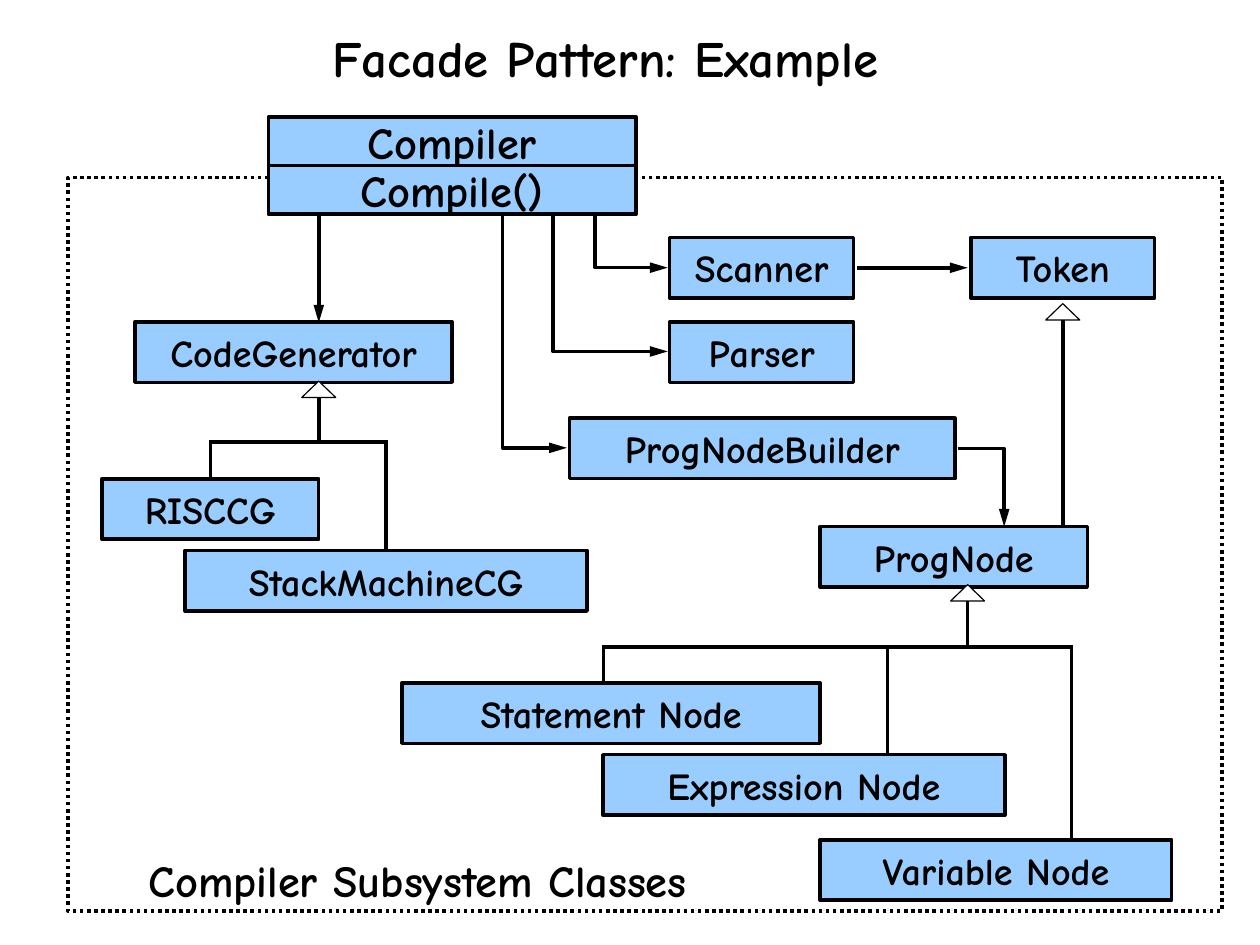
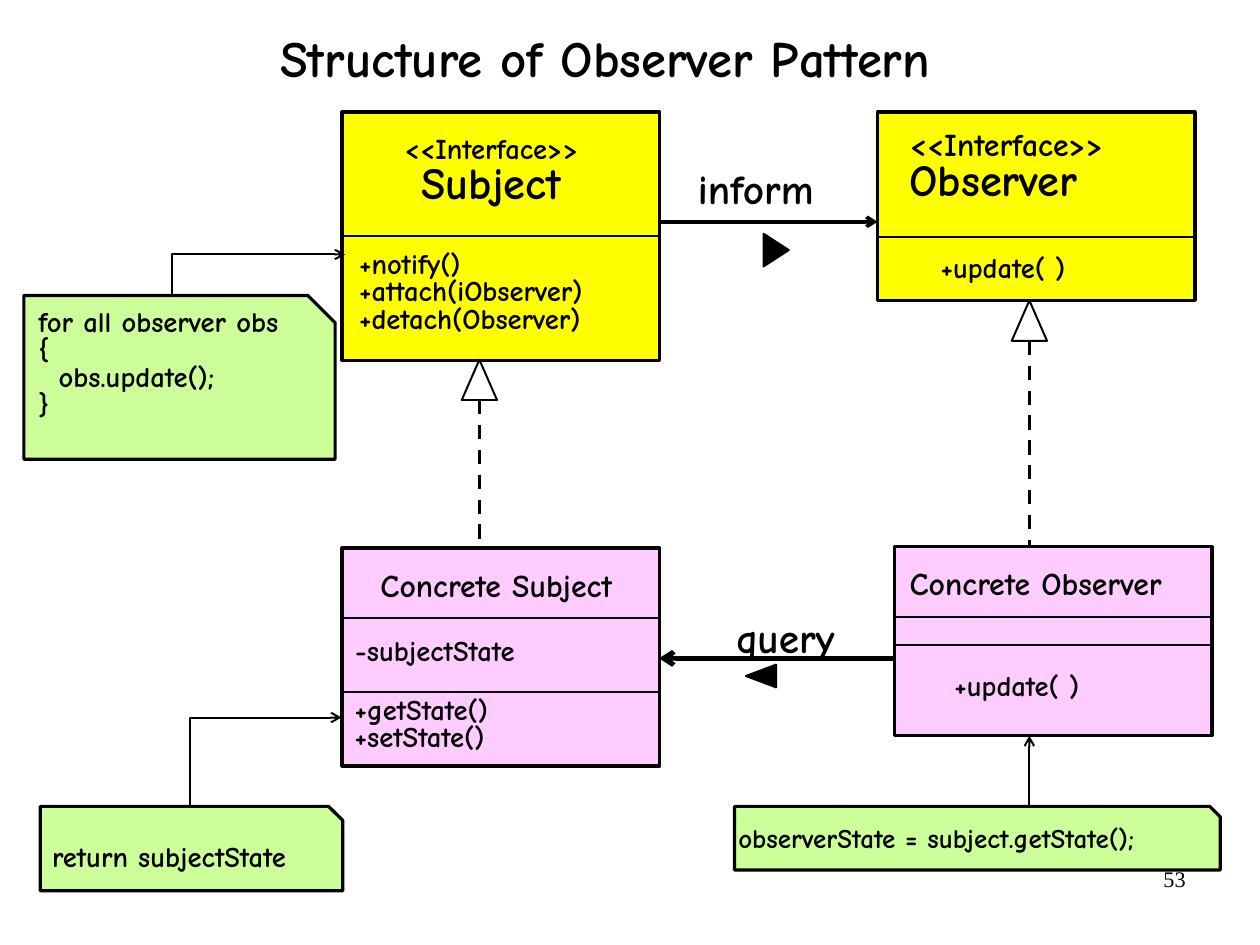
from dataclasses import dataclass

from lxml.etree import SubElement
from pptx import Presentation
from pptx.dml.color import RGBColor
from pptx.enum.dml import MSO_LINE_DASH_STYLE as Dash
from pptx.enum.shapes import MSO_CONNECTOR_TYPE as Link, MSO_SHAPE as Shape
from pptx.enum.text import MSO_ANCHOR as Anchor, PP_ALIGN as Align
from pptx.oxml.ns import qn
from pptx.util import Cm, Inches, Pt


@dataclass(frozen=True)
class Theme:
    width: float = 28
    height: float = 21
    columns: int = 100
    rows: int = 75
    font: str = "Comic Neue"
    number_font: str = "Times New Roman"
    ink: str = "000000"
    paper: str = "FFFFFF"
    blue: str = "99CCFF"
    yellow: str = "FFFF00"
    pink: str = "FFCCFF"
    green: str = "CCFF99"
    title: int = 32
    heading: int = 28
    label: int = 26
    class_name: int = 24
    subheading: int = 20
    member: int = 18
    long_code: int = 17
    number: int = 14
    thin: float = 1.25
    border: float = 2
    thick: float = 2.25
    tight: float = 0.8


THEME = Theme()


def col(count):
    return Cm(THEME.width * count / THEME.columns)


def row(count):
    return Cm(THEME.height * count / THEME.rows)


def area(left, top, width, height):
    return col(left), row(top), col(width), row(height)


def color(value):
    return RGBColor.from_string(value)


def write(frame, lines, sizes, align=Align.LEFT, spacing=1.0,
          anchor=Anchor.TOP, wrap=True, font=THEME.font, bold=True):
    frame.text = "\n".join(lines)
    frame.word_wrap = wrap
    frame.vertical_anchor = anchor
    frame.margin_left = frame.margin_right = Inches(0.11)
    frame.margin_top = frame.margin_bottom = Inches(0.06)
    for index, paragraph in enumerate(frame.paragraphs):
        paragraph.alignment = align
        paragraph.line_spacing = spacing
        for run in paragraph.runs:
            run.font.name = font
            run.font.size = Pt(sizes[min(index, len(sizes) - 1)])
            run.font.bold = bold
            run.font.color.rgb = color(THEME.ink)


def add_titled_slide(deck, title):
    slide = deck.slides.add_slide(deck.slide_layouts[5])
    heading = slide.shapes.title
    heading.left, heading.top, heading.width, heading.height = area(5.4, 0, 85.3, 7.5)
    write(heading.text_frame, [title], [THEME.title], Align.CENTER, THEME.tight, Anchor.BOTTOM)
    return slide


def add_text(slide, place, lines, *sizes, **style):
    box = slide.shapes.add_textbox(*area(*place))
    write(box.text_frame, lines, sizes, **style)


def add_members(slide, left, top, width, lines, *sizes, align=Align.LEFT):
    place = (left, top, width, 3.2 * len(lines))
    add_text(slide, place, lines, *(sizes or [THEME.member]), align=align, spacing=THEME.tight)


def add_box(slide, place, fill, weight=THEME.border, preset=Shape.RECTANGLE):
    box = slide.shapes.add_shape(preset, *area(*place))
    box.shadow.inherit = False
    box.fill.solid()
    box.fill.fore_color.rgb = color(fill)
    box.line.color.rgb = color(THEME.ink)
    box.line.width = Pt(weight)
    return box


def add_class(slide, name, left, top, width, height=4.8, size=THEME.class_name):
    box = add_box(slide, (left, top, width, height), THEME.blue, THEME.thick)
    write(box.text_frame, [name], [size], Align.CENTER, anchor=Anchor.MIDDLE, wrap=False)


def add_interface(slide, left, top, height, fill, dividers):
    width = 25.2
    add_box(slide, (left, top, width, height), fill)
    for divider in dividers:
        add_line(slide, (left, divider), (left + width, divider), THEME.thin)


def add_note(slide, *place):
    add_box(slide, place, THEME.green, preset=Shape.SNIP_1_RECTANGLE)


def add_triangle(slide, center, top, width, height, fill=THEME.paper, weight=THEME.thin, turn=0):
    triangle = add_box(slide, (center - width / 2, top, width, height),
                       fill, weight, Shape.ISOSCELES_TRIANGLE)
    triangle.rotation = turn


def add_line(slide, start, end, weight=THEME.thick, head=None, tail=None,
             dash=None, kind=Link.STRAIGHT):
    line = slide.shapes.add_connector(kind, col(start[0]), row(start[1]), col(end[0]), row(end[1]))
    line.line.color.rgb = color(THEME.ink)
    line.line.width = Pt(weight)
    if dash:
        line.line.dash_style = dash
    properties = line._element.spPr
    outline = properties.find(qn("a:ln"))
    if not (head or tail or dash):
        outline.set("cap", "sq")
    for tag, arrow in (("a:headEnd", head), ("a:tailEnd", tail)):
        if arrow:
            length = "lg" if arrow == "triangle" else "med"
            SubElement(outline, qn(tag), type=arrow, w="med", len=length)
    SubElement(properties, qn("a:effectLst"))
    return line


def add_elbow(slide, start, end, weight=THEME.thick, head=None, tail=None):
    elbow = add_line(slide, start, end, weight, head, tail, kind=Link.ELBOW)
    elbow._element.spPr.find(qn("a:prstGeom")).set("prst", "bentConnector2")


def add_inheritance(slide, apex, bus, children):
    center, top = apex
    add_line(slide, (center, top + 1.3), (center, bus))
    add_line(slide, (children[0][0], bus), (children[-1][0], bus))
    for child in children:
        add_line(slide, (child[0], bus), child)
    add_triangle(slide, center, top, 2.7, 1.3, weight=0.75)


def build_facade(deck):
    slide = add_titled_slide(deck, "Facade Pattern: Example")
    subsystem = add_box(slide, (5.4, 14.1, 91.6, 58.2), THEME.paper, THEME.thick)
    subsystem.line.dash_style = Dash.ROUND_DOT
    outline = subsystem._element.spPr.find(qn("a:ln"))
    outline.find(qn("a:prstDash")).set("val", "sysDot")

    for name, top in (("Compiler", 9.3), ("Compile()", 13.15)):
        add_class(slide, name, 21.3, top, 29.2, 3.85, THEME.heading)
    for name, left, top, width in (
        ("Scanner", 53.15, 18.85, 14.6),
        ("Parser", 53.15, 25.55, 14.6),
        ("Token", 77.05, 18.85, 14.6),
        ("CodeGenerator", 10.7, 25.55, 25.2),
        ("ProgNodeBuilder", 45.2, 33.2, 30.6),
        ("ProgNode", 65.1, 41.8, 21.2),
        ("RISCCG", 8.1, 38, 17.2),
        ("StackMachineCG", 14.7, 43.7, 31.9),
        ("Statement Node", 31.9, 54.2, 33.2),
        ("Expression Node", 47.85, 59.9, 31.9),
        ("Variable Node", 65.1, 66.65, 27.9),
    ):
        add_class(slide, name, left, top, width)
    add_text(slide, (8.3, 67.15, 49.7, 5.3), ["Compiler Subsystem Classes"], THEME.heading,
             align=Align.CENTER, anchor=Anchor.MIDDLE, wrap=False)

    compile_bottom = 17
    add_line(slide, (25.3, compile_bottom), (25.3, 25.6), tail="triangle")
    for source, target in ((47.25, (53, 21.25)), (43.9, (53, 27.9)), (39.9, (45, 35.55))):
        add_elbow(slide, target, (source, compile_bottom), head="triangle")
    add_line(slide, (68, 21.25), (76.8, 21.25), tail="triangle")
    add_elbow(slide, (76, 35.6), (79.7, 41.8), tail="triangle")

    add_inheritance(slide, (25.3, 30.25), 35.1, [(16.7, 38), (30.65, 43.7)])
    add_inheritance(slide, (76.8, 46.4), 51.35, [(47.9, 54.2), (70.45, 59.9), (85.05, 66.7)])
    add_line(slide, (84.35, 41.8), (84.35, 25.4))
    add_triangle(slide, 84.35, 24.1, 2.7, 1.3, weight=0.75)


def build_observer(deck):
    slide = add_titled_slide(deck, "Structure of Observer Pattern")
    add_text(slide, (71.8, 68.1, 23.3, 5.2), ["53"], THEME.number,
             align=Align.RIGHT, font=THEME.number_font, bold=False)

    add_interface(slide, 27.15, 8.9, 19.7, THEME.yellow, [18.75])
    add_members(slide, 27.2, 10.4, 23.6, ["<<Interface>>", "Subject"],
                THEME.member, THEME.heading, align=Align.CENTER)
    add_members(slide, 27.5, 19.5, 25.2, ["+notify()", "+attach(iObserver)", "+detach(Observer)"])

    add_interface(slide, 69.65, 8.9, 14.95, THEME.yellow, [18.8])
    add_members(slide, 71.2, 9.95, 22, ["<<Interface>>", "Observer"],
                THEME.subheading, THEME.heading)
    add_members(slide, 73.65, 19.85, 17.3, ["+update( )"])

    add_interface(slide, 27.15, 43.5, 17.3, THEME.pink, [49.05, 54.9])
    add_members(slide, 29.2, 44.95, 23.9, ["Concrete Subject"], THEME.subheading)
    add_members(slide, 27.2, 50.2, 18.9, ["-subjectState"])
    add_members(slide, 27.15, 54.9, 17.3, ["+getState()", "+setState()"])

    add_interface(slide, 71, 43.4, 15, THEME.pink, [48.95, 51.2])
    add_members(slide, 71.2, 44.75, 25, ["Concrete Observer"], THEME.subheading)
    add_members(slide, 74.75, 53, 17.3, ["+update( )"])

    for center, top, bottom in ((38.05, 28.55, 43.5), (81.7, 23.85, 43.4)):
        add_triangle(slide, center, top, 2.8, 3.2)
        add_line(slide, (center, top + 3.2), (center, bottom), dash=Dash.DASH)

    add_line(slide, (52.3, 17.6), (69.65, 17.6), tail="arrow")
    add_text(slide, (54.4, 12.4, 15.2, 4.9), ["inform"], THEME.label)
    add_triangle(slide, 61.6, 18.85, 2.6, 2, THEME.ink, turn=90)
    add_line(slide, (70.9, 52.25), (52.3, 52.25), 3, tail="arrow")
    add_text(slide, (57.45, 48.05, 15.2, 4.9), ["query"], THEME.label)
    add_triangle(slide, 60.4, 52.45, 1.8, 2.4, THEME.ink, turn=270)

    add_note(slide, 1.9, 23.45, 24.7, 13)
    add_members(slide, 2.05, 24.1, 26, ["for all observer obs", "{", "  obs.update();", "}"])
    add_elbow(slide, (27.4, 20.2), (13.65, 23.6), THEME.thin, head="arrow")
    add_note(slide, 3.2, 64, 24, 6.7)
    add_members(slide, 3.15, 66.6, 24.1, ["return subjectState"])
    add_elbow(slide, (27.1, 56.95), (15.1, 64), THEME.thin, head="arrow")
    add_note(slide, 58.3, 64, 38.55, 5.05)
    add_members(slide, 57.6, 65.15, 40.8, ["observerState = subject.getState();"], THEME.long_code)
    add_line(slide, (81.7, 64), (81.7, 58.4), THEME.thin, tail="arrow")


def main():
    deck = Presentation()
    deck.slide_width = Cm(THEME.width)
    deck.slide_height = Cm(THEME.height)
    build_facade(deck)
    build_observer(deck)
    deck.save("out.pptx")


if __name__ == "__main__":
    main()
